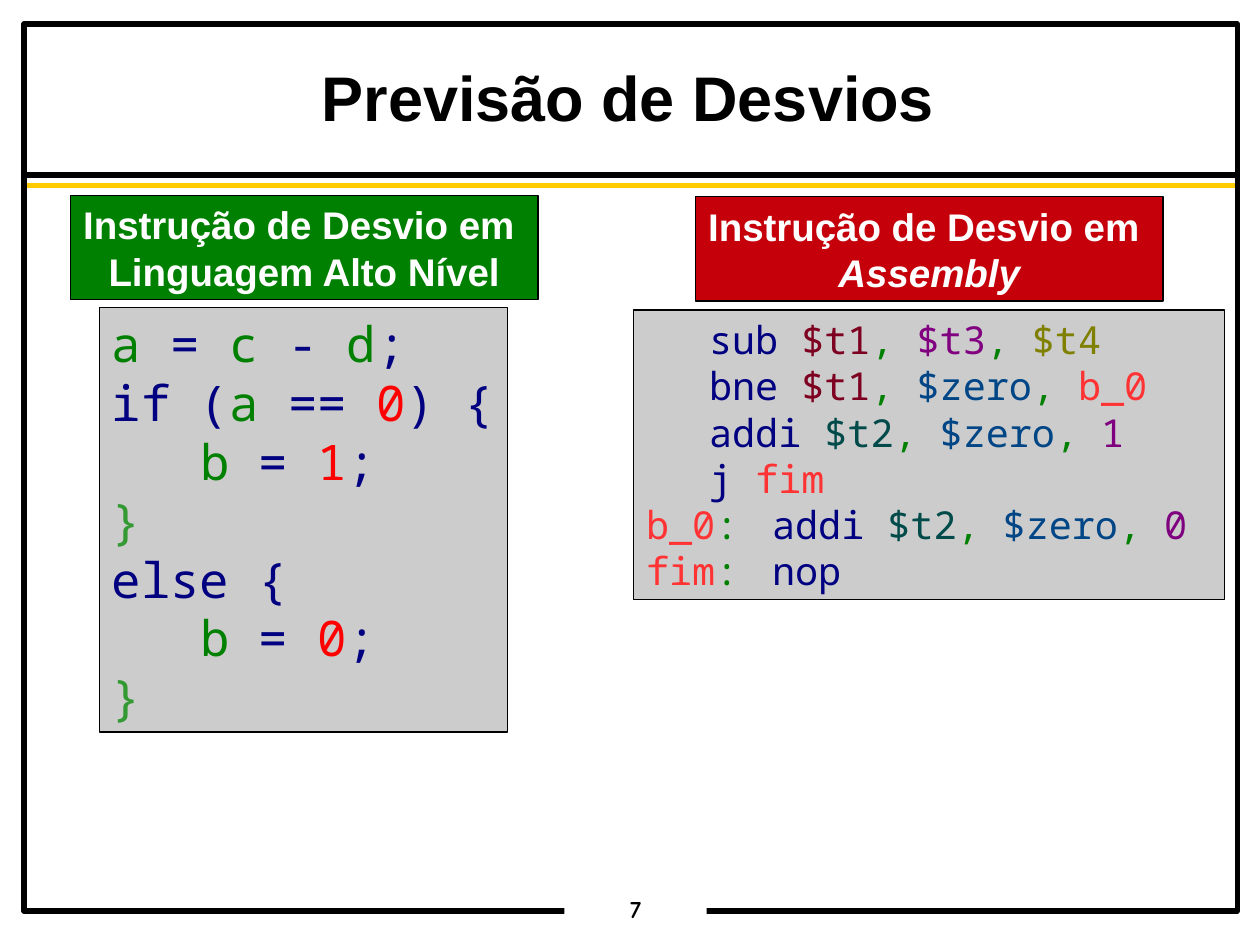
from pptx import Presentation
from pptx.dml.color import RGBColor
from pptx.enum.shapes import MSO_CONNECTOR, MSO_SHAPE
from pptx.enum.text import MSO_ANCHOR, PP_ALIGN
from pptx.oxml.ns import qn
from pptx.util import Inches, Pt

RECTANGLE = MSO_SHAPE.RECTANGLE
STRAIGHT = MSO_CONNECTOR.STRAIGHT
MIDDLE = MSO_ANCHOR.MIDDLE
CENTER = PP_ALIGN.CENTER
LEFT = PP_ALIGN.LEFT
TITLE_ONLY = 5

BLACK, WHITE, GRAY, NAVY = "000000", "FFFFFF", "CCCCCC", "000080"

# Each code line: tab width or indent in inches, then tokens separated by "|".
HIGH_LEVEL_CODE = [
    (0, "a |= |c |- |d|;"),
    (0, "if (|a |== |0|) {"),
    (0.7, "b |= |1|;"),
    (0, "}"),
    (0, "else {"),
    (0.7, "b |= |0|;"),
    (0, "}"),
]
HIGH_LEVEL_COLORS = {
    **dict.fromkeys("abcd", "008000"),
    **dict.fromkeys("01", "FF0000"),
    "}": "339933",
}
ASSEMBLY_CODE = [
    (0, "\tsub |$t1|, |$t3|, |$t4"),
    (0, "\tbne |$t1|, |$zero|, |b_0"),
    (0, "\taddi |$t2|, |$zero|, |1"),
    (0, "\tj |fim"),
    (0, "b_0|:\t|addi |$t2|, |$zero|, |0"),
    (0, "fim|:\t|nop"),
]
ASSEMBLY_COLORS = {
    **dict.fromkeys(",:", "008000"),
    **dict.fromkeys("01", "7F007F"),
    **dict.fromkeys(("b_0", "fim"), "FF3333"),
    "$t1": "7E0021",
    "$t2": "004A4A",
    "$t3": "800080",
    "$t4": "808000",
    "$zero": "004586",
}


def color(value):
    return RGBColor.from_string(value)


class SlideBuilder:
    heading_font = "Arial"
    code_font = "Noto Sans Mono"
    number_font = "Comic Neue"

    def __init__(self, slide):
        self.slide = slide

    def format_run(self, run, font, size, text_color, bold=False):
        run.font.name = font
        run.font.size = Pt(size)
        run.font.bold = bold
        run.font.color.rgb = color(text_color)

    def title(self, text, box):
        shape = self.slide.shapes.title
        shape.left, shape.top, shape.width, shape.height = map(Inches, box)
        frame = shape.text_frame
        frame.margin_left = frame.margin_right = 0
        frame.margin_top = frame.margin_bottom = 0
        frame.vertical_anchor = MIDDLE
        frame.text = text
        paragraph = frame.paragraphs[0]
        paragraph.alignment = CENTER
        paragraph.line_spacing = 0.95
        self.format_run(paragraph.runs[0], self.heading_font, 36, BLACK, True)

    def rule(self, y, line_color):
        line = self.slide.shapes.add_connector(
            STRAIGHT, Inches(0.2), Inches(y), Inches(9.83), Inches(y))
        line.line.color.rgb = color(line_color)
        line.line.width = Pt(3)
        properties = line._element.spPr
        properties.append(properties.makeelement(qn("a:effectLst"), {}))

    def rectangle(self, box, fill=None, line_width=None):
        """Without a fill or a line width, that part is left out."""
        shape = self.slide.shapes.add_shape(RECTANGLE, *map(Inches, box))
        shape.shadow.inherit = False
        if fill is None:
            shape.fill.background()
        else:
            shape.fill.solid()
            shape.fill.fore_color.rgb = color(fill)
        if line_width is None:
            shape.line.fill.background()
        else:
            shape.line.color.rgb = color(BLACK)
            shape.line.width = Pt(line_width)
        shape.text_frame.word_wrap = False
        shape.text_frame.vertical_anchor = MIDDLE
        return shape

    def label(self, text, box, fill):
        frame = self.rectangle(box, fill, 0).text_frame
        frame.word_wrap = True
        paragraph = frame.paragraphs[0]
        paragraph.text = text
        paragraph.alignment = CENTER
        for run in paragraph.runs:
            self.format_run(run, self.heading_font, 22, WHITE, True)
        return paragraph

    def code(self, lines, colors, size, box):
        frame = self.rectangle(box, GRAY, 0).text_frame
        for number, (indent, line) in enumerate(lines):
            paragraph = frame.add_paragraph() if number else frame.paragraphs[0]
            paragraph.alignment = LEFT
            if indent:
                paragraph._p.get_or_add_pPr().set("marL", str(Inches(indent)))
            for token in line.split("|"):
                run = paragraph.add_run()
                run.text = token
                self.format_run(run, self.code_font, size,
                                colors.get(token.strip(), NAVY))

    def page_number(self, text, box):
        frame = self.rectangle(box, WHITE).text_frame
        frame.margin_left = frame.margin_right = Inches(0.07)
        frame.margin_top = frame.margin_bottom = Inches(0.03)
        frame.text = text
        paragraph = frame.paragraphs[0]
        paragraph.alignment = CENTER
        paragraph.line_spacing = 0.9
        self.format_run(paragraph.runs[0], self.number_font, 14, BLACK, True)


def main():
    presentation = Presentation()
    presentation.slide_width = Inches(10)
    presentation.slide_height = Inches(7.5)
    layout = presentation.slide_layouts[TITLE_ONLY]
    builder = SlideBuilder(presentation.slides.add_slide(layout))

    builder.rule(1.39, BLACK)
    builder.rule(1.47, "FFCC00")
    builder.rectangle((0.19, 0.19, 9.63, 7.04), line_width=3)
    builder.page_number("7", (4.48, 7.09, 1.13, 0.27))
    builder.title("Previsão de Desvios", (0.16, 0.24, 9.65, 1.1))

    builder.code(HIGH_LEVEL_CODE, HIGH_LEVEL_COLORS, 28, (0.79, 2.44, 3.24, 3.37))
    builder.label("Instrução de Desvio em \vLinguagem Alto Nível",
                  (0.56, 1.55, 3.71, 0.83), "008000")
    builder.code(ASSEMBLY_CODE, ASSEMBLY_COLORS, 22, (5.03, 2.46, 4.69, 2.3))
    assembly_label = builder.label("Instrução de Desvio em \vAssembly",
                                   (5.52, 1.56, 3.71, 0.83), "C5000B")
    assembly_label.runs[-1].font.italic = True

    presentation.save("out.pptx")


if __name__ == "__main__":
    main()
